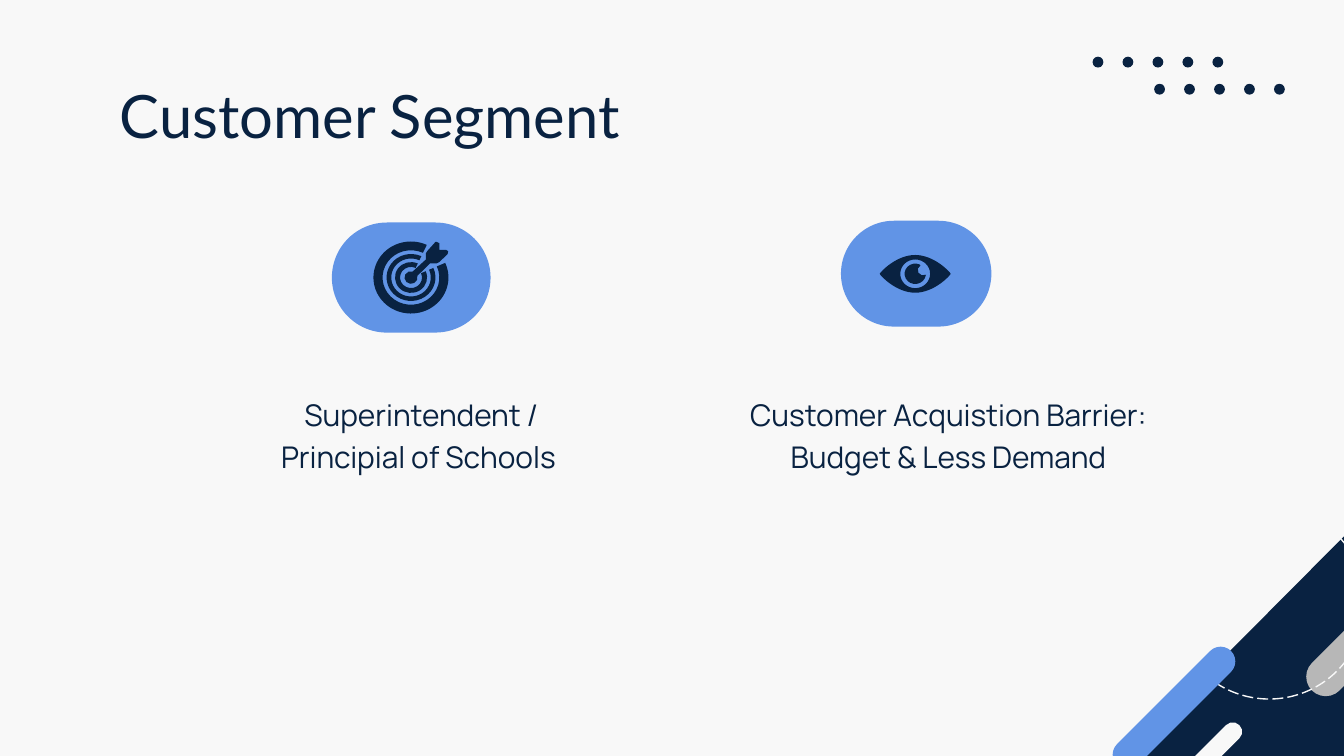
from dataclasses import dataclass
from math import ceil, cos, radians, sin, tan

from pptx import Presentation
from pptx.dml.color import RGBColor
from pptx.enum import dml, shapes, text
from pptx.oxml.ns import qn
from pptx.util import Pt

SHAPE = shapes.MSO_SHAPE


@dataclass(frozen=True)
class Theme:
    paper: str = "F8F8F8"
    navy: str = "092241"
    blue: str = "6194E6"
    grey: str = "B7B7B7"
    title_font: str = "Lato"
    body_font: str = "Manrope"
    title_size: int = 32
    body_size: int = 16


def write(frame, content, *, font, size, color, align, spacing=None):
    frame.word_wrap = True
    frame.auto_size = text.MSO_AUTO_SIZE.NONE
    frame.vertical_anchor = text.MSO_ANCHOR.TOP
    frame.margin_left = frame.margin_right = Pt(7.2)
    frame.margin_top = frame.margin_bottom = Pt(7.2)
    frame.text = content
    for paragraph in frame.paragraphs:
        properties = paragraph._p.get_or_add_pPr()
        properties.set("marL", "0")
        properties.set("indent", "0")
        properties.append(properties.makeelement(qn("a:buNone")))
        paragraph.alignment = align
        paragraph.line_spacing = spacing
        paragraph.space_before = Pt(0)
        for run in paragraph.runs:
            run.font.name = font
            run.font.size = Pt(size)
            run.font.color.rgb = RGBColor.from_string(color)


def arc(center, radius, start, end, squash=0.96):
    def place(dx, dy):
        return center[0] + radius * dx, center[1] + radius * squash * dy

    count = ceil(abs(end - start) / 90)
    step = radians(end - start) / count
    pull = 4 / 3 * tan(step / 4)
    segments = [[place(cos(radians(start)), sin(radians(start)))]]
    for i in range(count):
        a = radians(start) + i * step
        b = a + step
        segments.append([place(cos(a) - pull * sin(a), sin(a) + pull * cos(a)),
                         place(cos(b) + pull * sin(b), sin(b) - pull * cos(b)),
                         place(cos(b), sin(b))])
    return segments


def lines(*points):
    return [[point] for point in points]


class SlideBuilder:
    def __init__(self, slide, theme):
        self.slide = slide
        self.theme = theme
        slide.background.fill.solid()
        slide.background.fill.fore_color.rgb = RGBColor.from_string(theme.paper)

    def paint(self, item, color):
        item.shadow.inherit = False
        item.fill.solid()
        item.fill.fore_color.rgb = RGBColor.from_string(color)
        item.line.fill.background()

    def preset(self, kind, box, color, rotation=0):
        item = self.slide.shapes.add_shape(kind, *map(Pt, box))
        self.paint(item, color)
        item.rotation = rotation
        return item

    def pill(self, box, color, rotation=0):
        item = self.preset(SHAPE.ROUNDED_RECTANGLE, box, color, rotation)
        item.adjustments[0] = 0.5

    def dashed_circle(self, box, color):
        item = self.preset(SHAPE.OVAL, box, color)
        item.fill.background()
        item.line.color.rgb = RGBColor.from_string(color)
        item.line.width = Pt(0.75)
        item.line.dash_style = dml.MSO_LINE.LONG_DASH

    def dots(self, left, top):
        for i in range(5):
            self.preset(SHAPE.OVAL, (left + 16.05 * i, top, 5.8, 5.8), self.theme.navy)

    def outline(self, *contours):
        builder = None
        for contour in contours:
            points = [(Pt(x), Pt(y)) for segment in contour for x, y in segment]
            if builder is None:
                builder = self.slide.shapes.build_freeform(*points[0])
            else:
                builder.move_to(*points[0])
            builder.add_line_segments(points[1:], close=True)
        item = builder.convert_to_shape()
        self.paint(item, self.theme.navy)
        self.bend(item, [segment for contour in contours for segment in contour[1:]])

    def bend(self, item, segments):
        steps = iter(list(item._element.iter(qn("a:lnTo"))))
        for segment in segments:
            parts = [next(steps) for _ in segment]
            if len(parts) == 3:
                track = parts[0].getparent()
                curve = track.makeelement(qn("a:cubicBezTo"))
                parts[0].addprevious(curve)
                for part in parts:
                    curve.append(part[0])
                    track.remove(part)

    def target(self):
        center = (220.2, 148.7)
        for outer, inner in ((13.1, 10.6), (8.6, 5.9), (20.1, 15.2)):
            self.outline(arc(center, outer, -24, 295) + arc(center, inner, 295, -24))
        shaft_up = lines((234, 129.6), (233.3, 129.6), (229, 134.4), (228.2, 135.6),
                         (228.2, 139))
        shaft_down = lines((230.4, 141.1), (234, 141.1), (235.4, 140.4),
                           (239.8, 136.1), (240.1, 134.6), (239, 133.9),
                           (235.4, 133.9), (235.4, 130.3))
        self.outline(shaft_up + arc(center, 3.5, -75, -375) + shaft_down)

    def eye(self):
        x, y = center = (490.3, 146.7)
        upper = [[(-18.5, -1.2), (-10, -10.1), (0, -10.1)],
                 [(10, -10.1), (18.5, -1.2), (19, 0)]]
        lids = [[(x + sign * dx, y + sign * dy) for dx, dy in segment]
                for sign in (1, -1) for segment in upper]
        self.outline(lines((x - 19, y)) + lids, arc(center, 8, 360, 0))
        self.outline(arc(center, 5.7, 10, 295) + arc((494.6, 144.7), 3, -120, -300))

    def title(self, content, box):
        self.place(self.slide.shapes.title, box)
        write(self.slide.shapes.title.text_frame, content, font=self.theme.title_font,
              size=self.theme.title_size, color=self.theme.navy,
              align=text.PP_ALIGN.LEFT)

    def body(self, index, content, box):
        holder = self.slide.placeholders[index]
        self.place(holder, box)
        write(holder.text_frame, content, font=self.theme.body_font,
              size=self.theme.body_size, color=self.theme.navy,
              align=text.PP_ALIGN.CENTER, spacing=1.15)

    def place(self, holder, box):
        holder.left, holder.top, holder.width, holder.height = map(Pt, box)


def main():
    deck = Presentation()
    deck.slide_width, deck.slide_height = Pt(720), Pt(405)
    theme = Theme()
    page = SlideBuilder(deck.slides.add_slide(deck.slide_layouts[3]), theme)

    page.preset(SHAPE.RIGHT_TRIANGLE, (602.6, 283, 122.4, 121.7), theme.navy, 270)
    page.pill((689.5, 327.4, 90.7, 20.9), theme.grey, 135)
    page.dashed_circle((628.4, 271.5, 103, 103), theme.paper)
    page.pill((585.7, 371.4, 86.4, 15.8), theme.blue, 135)
    page.pill((612.3, 404.8, 60.5, 10.1), theme.paper, 135)
    page.dots(618.3, 44.9)
    page.dots(585.3, 30.4)

    page.title("Customer Segment ", (56.9, 34.9, 607, 45.4))
    page.body(1, "Customer Acquistion Barrier: \nBudget & Less Demand ",
              (387.7, 202.7, 244.1, 96.5))
    page.body(2, "Superintendent / Principial of Schools ", (121, 202.7, 209.5, 69.8))

    page.pill((177.8, 119.2, 85, 59), theme.blue)
    page.pill((450.5, 118.3, 80.6, 56.7), theme.blue)
    page.eye()
    page.target()
    deck.save("out.pptx")


if __name__ == "__main__":
    main()
